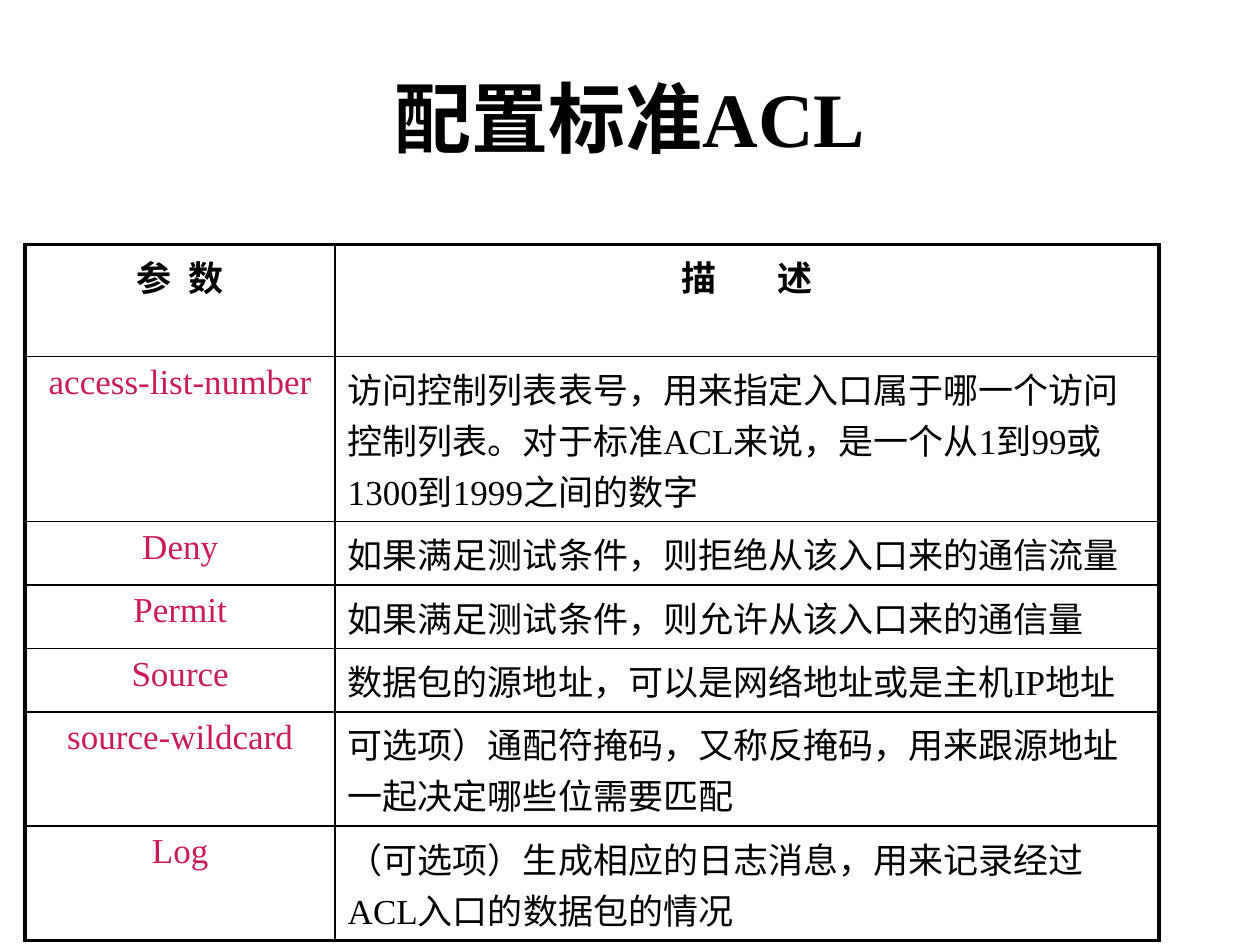
from lxml.etree import SubElement
from pptx import Presentation
from pptx.dml.color import RGBColor
from pptx.enum.lang import MSO_LANGUAGE_ID as Lang
from pptx.enum.text import MSO_ANCHOR as Anchor, PP_ALIGN as Align
from pptx.oxml.ns import qn
from pptx.util import Inches, Pt

BLACK = RGBColor(0x00, 0x00, 0x00)
CRIMSON = RGBColor(0xC9, 0x1B, 0x59)
FONT = "Times New Roman"
OUTER, INNER = 2.25, 1

COLUMN_WIDTHS = (2.46, 6.54)
ROW_HEIGHTS = (0.89, 1.1, 0.49, 0.49, 0.49, 0.88, 0.84)
# First part, last part, letter spacing in points
HEADINGS = (("参 ", "数", 2.5), ("描 ", "述", 15))
PARAMETERS = (
    ("access-list-number",
     "访问控制列表表号，用来指定入口属于哪一个访问控制列表。"
     "对于标准ACL来说，是一个从1到99或1300到1999之间的数字"),
    ("Deny", "如果满足测试条件，则拒绝从该入口来的通信流量"),
    ("Permit", "如果满足测试条件，则允许从该入口来的通信量"),
    ("Source", "数据包的源地址，可以是网络地址或是主机IP地址"),
    ("source-wildcard", "可选项）通配符掩码，又称反掩码，用来跟源地址一起决定哪些位需要匹配"),
    ("Log", "（可选项）生成相应的日志消息，用来记录经过ACL入口的数据包的情况"),
)


def add_run(paragraph, text, size, color=BLACK, bold=False, spacing=0):
    """Append one formatted run, with optional letter spacing in points."""
    run = paragraph.add_run()
    run.text = text
    font = run.font
    font.name, font.size, font.bold = FONT, Pt(size), bold
    font.color.rgb = color
    font.language_id = Lang.SIMPLIFIED_CHINESE
    if spacing:
        font._element.set("spc", str(int(spacing * 100)))


def start_paragraph(cell, align):
    """Return the cell's paragraph, aligned, with 20% space before it."""
    paragraph = cell.text_frame.paragraphs[0]
    paragraph.alignment = align
    before = SubElement(paragraph._p.get_or_add_pPr(), qn("a:spcBef"))
    SubElement(before, qn("a:spcPct"), val="20000")
    return paragraph


def set_borders(cell, widths):
    """Draw black left, right, top and bottom borders, widths in points."""
    properties = cell._tc.get_or_add_tcPr()
    for position, (side, width) in enumerate(zip("LRTB", widths)):
        line = SubElement(properties, qn(f"a:ln{side}"), w=str(Pt(width)))
        solid = SubElement(line, qn("a:solidFill"))
        SubElement(solid, qn("a:srgbClr"), val=str(BLACK))
        properties.insert(position, line)


def add_title(slide, left, top, width, height):
    """Place and fill the title placeholder."""
    title = slide.shapes.title
    title.left, title.top = Inches(left), Inches(top)
    title.width, title.height = Inches(width), Inches(height)
    title.text_frame.vertical_anchor = Anchor.MIDDLE
    paragraph = title.text_frame.paragraphs[0]
    paragraph.alignment = Align.CENTER
    add_run(paragraph, "配置标准ACL", 44, bold=True)


def add_parameter_table(slide, left, top):
    """Build the table of ACL parameters from its top left corner."""
    last_row, last_column = len(ROW_HEIGHTS) - 1, len(COLUMN_WIDTHS) - 1
    table = slide.shapes.add_table(
        last_row + 1, last_column + 1, Inches(left), Inches(top),
        Inches(sum(COLUMN_WIDTHS)), Inches(sum(ROW_HEIGHTS))).table
    table.first_row = table.horz_banding = False
    for column, width in zip(table.columns, COLUMN_WIDTHS):
        column.width = Inches(width)
    for row, height in zip(table.rows, ROW_HEIGHTS):
        row.height = Inches(height)

    for cell, (first, last, spacing) in zip(table.rows[0].cells, HEADINGS):
        heading = start_paragraph(cell, Align.CENTER)
        add_run(heading, first, 20, bold=True, spacing=spacing)
        add_run(heading, last, 20, bold=True)
    for number, (parameter, description) in enumerate(PARAMETERS, 1):
        add_run(start_paragraph(table.cell(number, 0), Align.CENTER),
                parameter, 20, CRIMSON)
        add_run(start_paragraph(table.cell(number, 1), Align.LEFT),
                description, 20)

    for r in range(last_row + 1):
        for c in range(last_column + 1):
            cell = table.cell(r, c)
            cell.fill.background()
            on_edge = (c == 0, c == last_column, r == 0, r == last_row)
            set_borders(cell, [OUTER if edge else INNER for edge in on_edge])


def main():
    """Build and save the slide."""
    deck = Presentation()
    deck.slide_width, deck.slide_height = Inches(10), Inches(7.5)
    slide = deck.slides.add_slide(deck.slide_layouts[5])
    add_parameter_table(slide, 0.2, 1.94)
    add_title(slide, 0.5, 0.3, 9, 1.25)
    deck.save("out.pptx")


main()
